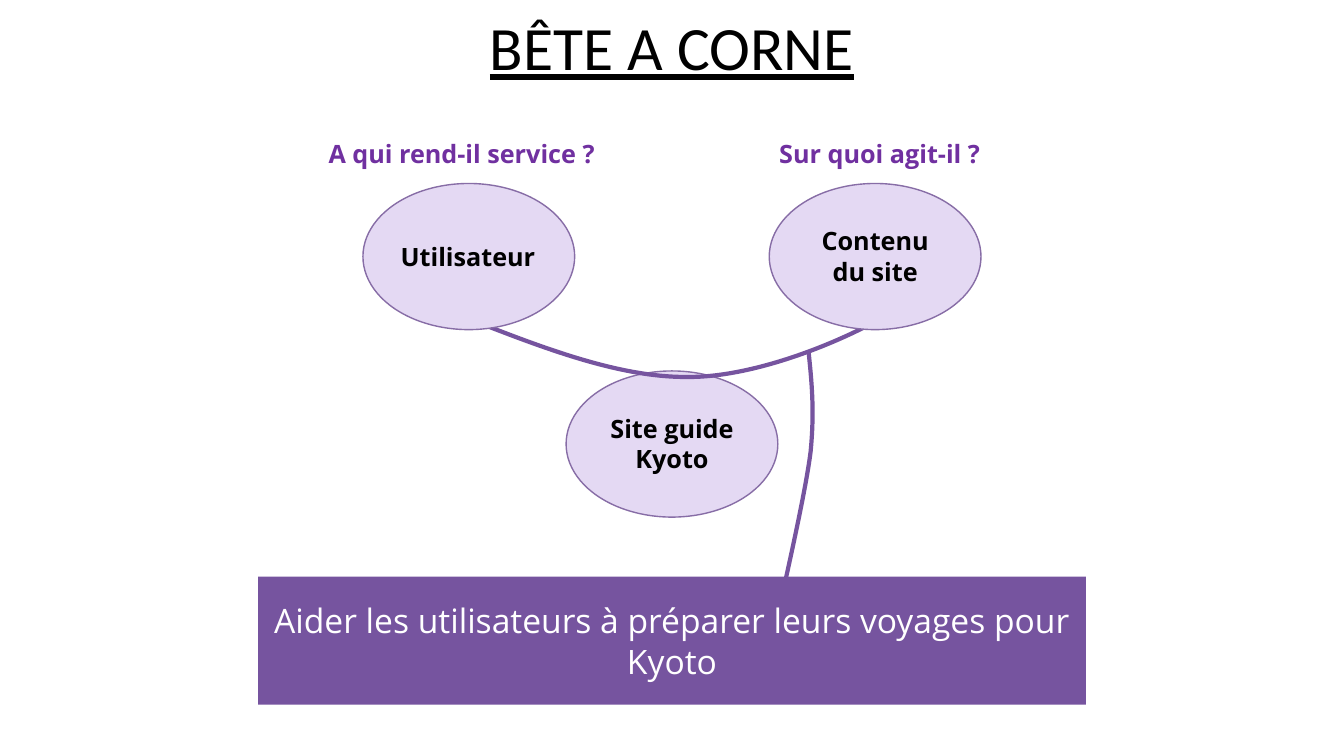
from dataclasses import dataclass

from lxml.etree import SubElement
from pptx import Presentation
from pptx.dml.color import RGBColor
from pptx.enum.shapes import MSO_SHAPE as SHAPE
from pptx.enum.text import MSO_ANCHOR as ANCHOR, MSO_AUTO_SIZE as FIT, PP_ALIGN as ALIGN
from pptx.oxml.ns import qn
from pptx.util import Inches, Pt


@dataclass(frozen=True)
class Theme:
    black: str = "000000"
    white: str = "FFFFFF"
    purple: str = "76549F"
    lilac: str = "E4D9F3"
    outline: str = "876DA6"
    question: str = "7030A0"
    title_font: str = "Calibri"
    body_font: str = "Open Sans"
    title_size: int = 44
    goal_size: int = 24
    label_size: int = 18
    thin: int = 1
    thick: int = 3


class Board:
    """Columns count from the slide's vertical axis, rows from its top."""
    CELL = 0.1  # inches

    def __init__(self, prs, theme):
        self.t = theme
        self.axis = prs.slide_width // 2
        self.shapes = prs.slides.add_slide(prs.slide_layouts[6]).shapes

    def point(self, col, row):
        return self.axis + Inches(col * self.CELL), Inches(row * self.CELL)

    def box(self, col, row, cols, rows):
        """Left, top, width and height of a box centred on a grid point."""
        return (*self.point(col - cols / 2, row - rows / 2),
                Inches(cols * self.CELL), Inches(rows * self.CELL))

    def paint(self, sp, fill, line, width):
        sp.shadow.inherit = False
        if fill:
            sp.fill.solid()
            sp.fill.fore_color.rgb = RGBColor.from_string(fill)
        else:
            sp.fill.background()
        if line:
            sp.line.color.rgb = RGBColor.from_string(line)
            sp.line.width = Pt(width)
        else:
            sp.line.fill.background()

    def add_text(self, sp, text, color, align=ALIGN.CENTER, spacing=None, **font):
        tf = sp.text_frame
        tf.word_wrap = True
        p = tf.paragraphs[0]
        p.alignment, p.line_spacing = align, spacing
        r = p.add_run()
        r.text = text
        style = {"name": self.t.body_font, "size": Pt(self.t.label_size), **font}
        for key, value in style.items():
            setattr(r.font, key, value)
        r.font.color.rgb = RGBColor.from_string(color)
        return tf

    def ellipse(self, col, row):
        sp = self.shapes.add_shape(SHAPE.OVAL, *self.box(col, row, 21, 14.5))
        self.paint(sp, self.t.lilac, self.t.outline, self.t.thin)

    def label(self, text, col, row, cols, rows, color, align=ALIGN.CENTER):
        sp = self.shapes.add_textbox(*self.box(col, row, cols, rows))
        tf = self.add_text(sp, text, color, align, bold=True)
        tf.auto_size = FIT.SHAPE_TO_FIT_TEXT

    def title(self, text):
        sp = self.shapes.add_textbox(*self.box(0, 5.05, 115, 14.5))
        tf = self.add_text(sp, text, self.t.black, spacing=0.9, underline=True,
                           name=self.t.title_font, size=Pt(self.t.title_size))
        tf.vertical_anchor = ANCHOR.MIDDLE

    def goal(self, text):
        sp = self.shapes.add_shape(SHAPE.RECTANGLE, *self.box(0, 63.55, 82.1, 12.7))
        self.paint(sp, self.t.purple, None, 0)
        tf = self.add_text(sp, text, self.t.white, size=Pt(self.t.goal_size))
        tf.vertical_anchor = ANCHOR.MIDDLE

    def curve(self, start, *controls):
        """Smooth line; every three control points make one Bézier segment."""
        fb = self.shapes.build_freeform(*self.point(*start))
        fb.add_line_segments([self.point(*c) for c in controls], close=False)
        sp = fb.convert_to_shape()
        self.paint(sp, None, self.t.purple, self.t.thick)
        outline = next(sp._element.iter(qn("a:moveTo"))).getparent()
        steps = outline.findall(qn("a:lnTo"))
        for i in range(0, len(steps), 3):
            bezier = SubElement(outline, qn("a:cubicBezTo"))
            for step in steps[i:i + 3]:
                bezier.append(step[0])
                outline.remove(step)


def main():
    prs = Presentation()
    prs.slide_width, prs.slide_height = Inches(13.33), Inches(7.5)
    t = Theme()
    board = Board(prs, t)
    side, top_row, product_row = 20.15, 25.45, 44.05

    # Product, with the horns curving over it
    board.ellipse(0, product_row)
    board.curve((-20.25, 31.6), (-12.85, 34.5), (-5.35, 37.4), (1.35, 37.4),
                (8.15, 37.5), (16.55, 33.9), (20.15, 31.9))
    board.title("BÊTE A CORNE")

    # User, goal and subject matter
    board.ellipse(-side, top_row)
    board.goal("Aider les utilisateurs à préparer leurs voyages pour Kyoto")
    board.ellipse(side, top_row)

    # Names inside the ellipses
    board.label("Utilisateur", -side, 25.4, 15.5, 4, t.black, ALIGN.LEFT)
    board.label("Contenu du site", side, top_row, 15.5, 7.1, t.black)
    board.label("Site guide Kyoto", 0, product_row, 15.5, 7.1, t.black)

    # Tail from the horns down to the goal
    board.curve((13.55, 34.9), (13.85, 37.8), (14.15, 40.7), (13.75, 44.8),
                (13.25, 48.8), (11.45, 56.6), (10.95, 59))

    # Questions above the ellipses
    board.label("A qui rend-il service ?", -side, 15.2, 29.8, 4, t.question, ALIGN.LEFT)
    board.label("Sur quoi agit-il ?", 20.95, 15.2, 22.6, 4, t.question, ALIGN.LEFT)

    prs.save("out.pptx")


if __name__ == "__main__":
    main()
